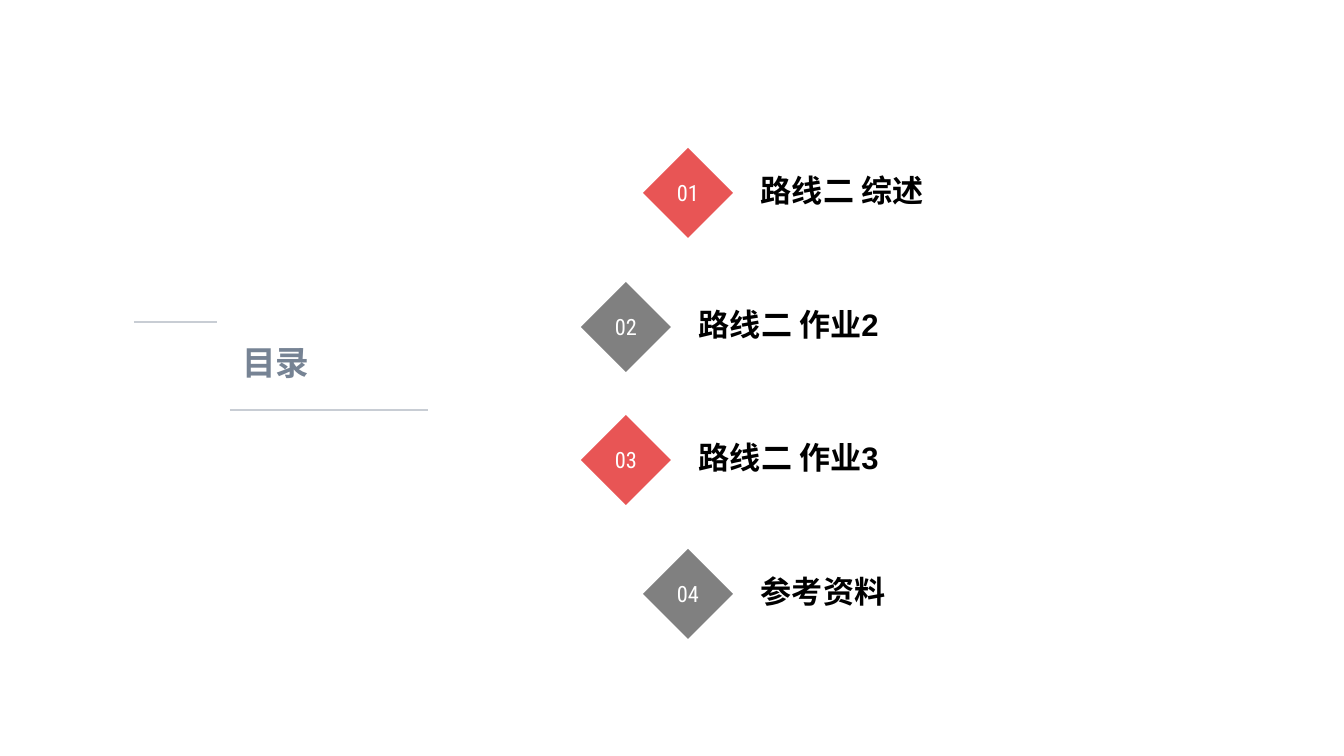
import pptx
import pptx.dml.color
import pptx.enum.shapes
import pptx.enum.text
import pptx.util
from lxml import etree

SCALE = 914400 / 100.8
COLORS = {"red": "E85555", "gray": "808080", "white": "FFFFFF",
          "black": "000000", "slate": "768394", "rule": "C8CDD4"}
TOPICS = ["路线二 综述", "路线二 作业2", "路线二 作业3", "参考资料"]
ALIGN = pptx.enum.text.PP_ALIGN
ANCHOR = pptx.enum.text.MSO_ANCHOR


def px(*nums):
    """Turn pixels into EMU."""
    return [pptx.util.Emu(round(n * SCALE)) for n in nums]


def tint(name):
    """Look up a colour."""
    return pptx.dml.color.RGBColor.from_string(COLORS[name])


def write(shape, text, size, color, font="Arial", bold=True,
          align=ALIGN.LEFT, anchor=ANCHOR.TOP, wrap=True):
    """Fill a shape with one styled paragraph."""
    frame = shape.text_frame
    frame.word_wrap = wrap
    frame.vertical_anchor = anchor
    para = frame.paragraphs[0]
    para.text = text
    para.alignment = align
    para.font.name = font
    para.font.size = pptx.util.Pt(size)
    para.font.bold = bold
    para.font.color.rgb = tint(color)


def rule(slide, left, top, width):
    """Draw a thin level line."""
    line = slide.shapes.add_connector(
        pptx.enum.shapes.MSO_CONNECTOR.STRAIGHT, *px(left, top, left + width, top))
    line.line.color.rgb = tint("rule")
    line.line.width = pptx.util.Pt(1.75)
    etree.SubElement(line._element.spPr, pptx.oxml.ns.qn("a:effectLst"))


def title(slide, left, top, width, height):
    """Place the heading between its two offset rules."""
    rule(slide, left, top, 83)
    rule(slide, left + 96, top + height, width - 96)
    box = slide.shapes.add_textbox(*px(left + 32, top + 15, 220, 58))
    write(box, "目录", 24, "slate", align=ALIGN.CENTER)


def entry(slide, left, top, size, num, text):
    """Place one numbered diamond and its topic."""
    mark = slide.shapes.add_shape(
        pptx.enum.shapes.MSO_SHAPE.DIAMOND, *px(left, top, size, size))
    mark.shadow.inherit = False
    mark.fill.solid()
    mark.fill.fore_color.rgb = tint("red" if num % 2 else "gray")
    mark.line.fill.background()
    write(mark, f"{num:02}", 16, "white", "Roboto Condensed", False,
          ALIGN.CENTER, ANCHOR.MIDDLE, False)
    box = slide.shapes.add_textbox(*px(left + size + 18, top + 26, 393, 40))
    write(box, text, 22.2, "black", anchor=ANCHOR.BOTTOM)


def agenda(slide, left, top, height):
    """Space the topics evenly, with the outer ones moved right."""
    size, last = 90, len(TOPICS) - 1
    for i, text in enumerate(TOPICS):
        shift = 62 if i in (0, last) else 0
        drop = round(i * (height - size) / last)
        entry(slide, left + shift, top + drop, size, i + 1, text)


deck = pptx.Presentation()
deck.slide_width, deck.slide_height = px(1344, 756)
page = deck.slides.add_slide(deck.slide_layouts[6])
agenda(page, 581, 148, 491)
title(page, 134, 322, 294, 88)
deck.save("out.pptx")
